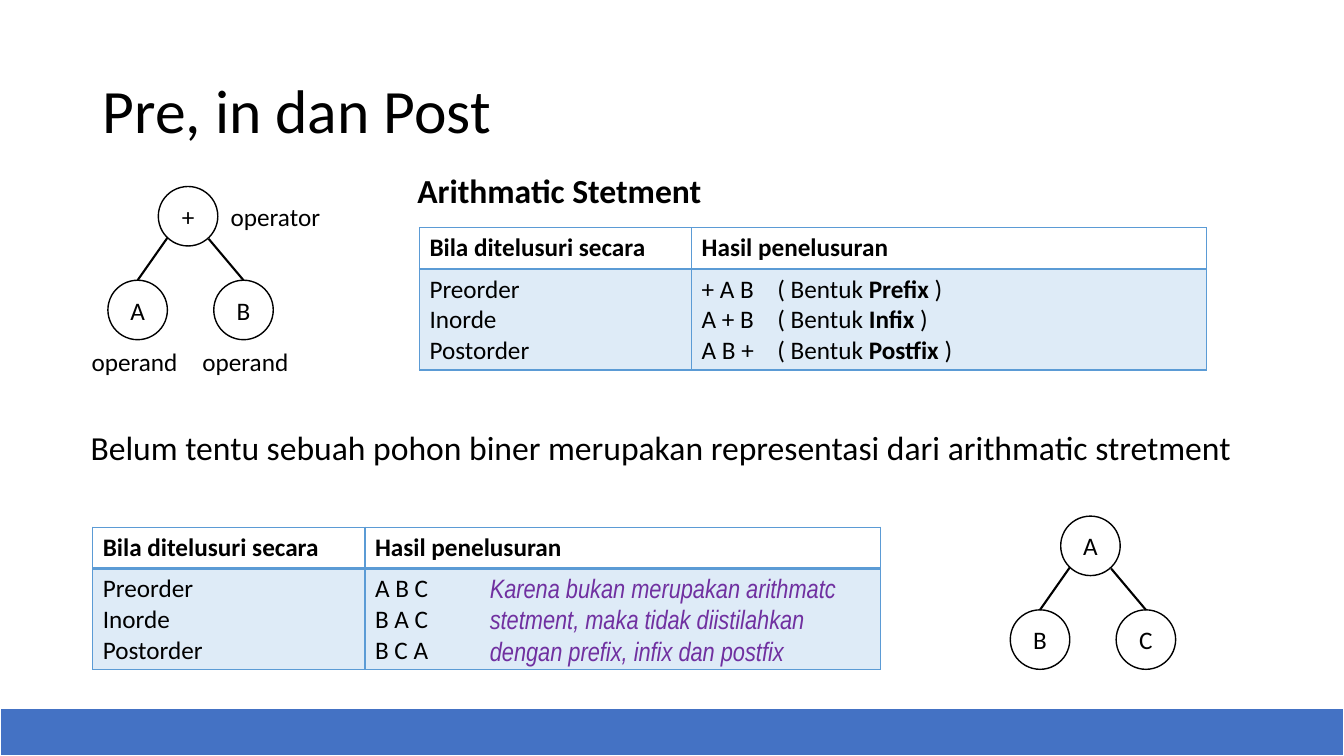
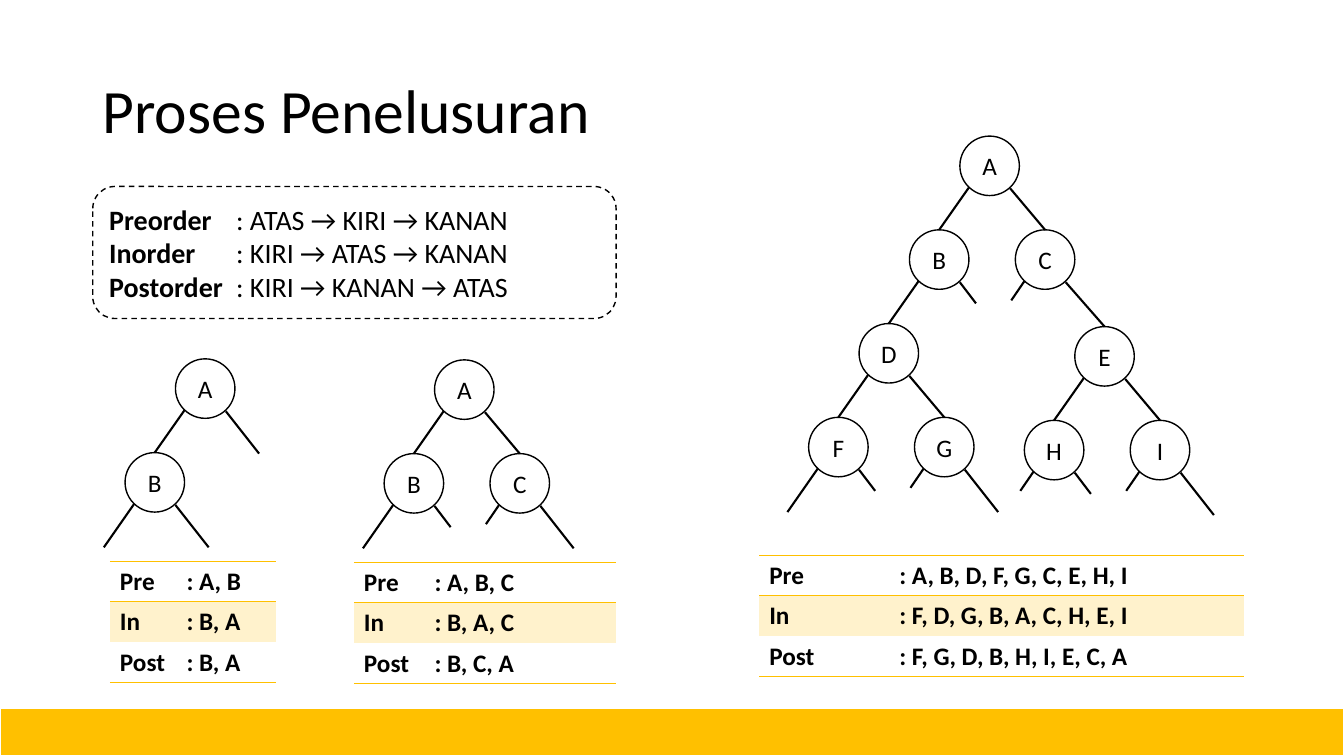
from dataclasses import dataclass
from typing import Any

from lxml import etree
from pptx import Presentation
from pptx.dml.color import RGBColor
from pptx.enum.dml import MSO_LINE
from pptx.enum.shapes import MSO_CONNECTOR, MSO_SHAPE
from pptx.enum.text import MSO_ANCHOR, PP_ALIGN
from pptx.oxml.ns import qn
from pptx.util import Inches, Pt

# Shared look
BLACK = RGBColor(0x00, 0x00, 0x00)
WHITE = RGBColor(0xFF, 0xFF, 0xFF)
PURPLE = RGBColor(0x70, 0x30, 0xA0)
BLUE_BAND = RGBColor(0x44, 0x72, 0xC4)
BLUE = RGBColor(0x5B, 0x9B, 0xD5)
PALE_BLUE = RGBColor(0xDE, 0xEB, 0xF7)
GOLD = RGBColor(0xFF, 0xC0, 0x00)
PALE_GOLD = RGBColor(0xFF, 0xF2, 0xCC)
FONT = "Calibri"
SLIDE_W, SLIDE_H, BAND_H = 13.33, 7.5, 0.48

# Tree geometry, measured from the top left of a node
NODE = 0.59
LONG, SHORT = "long", "short"
BRANCHES = {
    "left": {"start": (0.09, 0.51), "child": (-0.5, 0.93),
             LONG: (-0.21, 0.94), SHORT: (-0.04, 0.7)},
    "right": {"start": (0.5, 0.52), "child": (0.55, 0.93),
              LONG: (0.83, 0.94), SHORT: (0.66, 0.73)},
}


@dataclass
class Node:
    label: str
    left: Any = None    # a Node, LONG, SHORT or None
    right: Any = None
    shift: tuple = (0, 0)


# Content: a paragraph is a string or a list of (text, bold) runs
HEADER = ["Bila ditelusuri secara", "Hasil penelusuran"]
ORDERS = ["Preorder", "Inorde", "Postorder"]
FORMS = [("+ A B", "Prefix"), ("A + B", "Infix"), ("A B +", "Postfix")]
EXPRESSION_ROWS = [
    [HEADER[:1], HEADER[1:]],
    [ORDERS, [[(f"{walk}\t( Bentuk ", False), (form, True), (" )", False)]
              for walk, form in FORMS]],
]
PLAIN_ROWS = [[HEADER[:1], HEADER[1:]], [ORDERS, ["A B C", "B A C", "B C A"]]]
EXPRESSION_TREE = Node("+", Node("A"), Node("B"))
PLAIN_TREE = Node("A", Node("B"), Node("C"))
TREE_LABELS = [("operator", 2.19, 1.95), ("operand", 0.81, 3.39),
               ("operand", 1.91, 3.39)]
STATEMENT = ("Belum tentu sebuah pohon biner merupakan representasi dari "
             "arithmatic stretment")
REMARK = ("Karena bukan merupakan arithmatc stetment, maka tidak diistilahkan "
          "dengan prefix, infix dan postfix")

RULES = [("Preorder", "ATAS → KIRI → KANAN"),
         ("Inorder", "KIRI → ATAS → KANAN"),
         ("Postorder", "KIRI → KANAN → ATAS")]
TRAVERSALS = [
    {"root": (1.74, 3.56),
     "tree": Node("A", Node("B", LONG, LONG), LONG),
     "table": (1.09, 5.57), "cols": [0.66, 0.99],
     "walks": ["A, B", "B, A", "B, A"]},
    {"root": (4.31, 3.57),
     "tree": Node("A", Node("B", LONG, SHORT), Node("C", SHORT, LONG)),
     "table": (3.51, 5.58), "cols": [0.7, 1.9],
     "walks": ["A, B, C", "B, A, C", "B, C, A"]},
    {"root": (9.52, 1.35),
     "tree": Node(
         "A",
         Node("B", Node("D", Node("F", LONG, SHORT), Node("G", SHORT, LONG)),
              SHORT),
         Node("C", SHORT,
              Node("E", Node("H", SHORT, SHORT), Node("I", SHORT, LONG),
                   shift=(0.04, 0.03)))),
     "table": (7.53, 5.51), "cols": [1.29, 3.52],
     "walks": ["A, B, D, F, G, C, E, H, I", "F, D, G, B, A, C, H, E, I",
               "F, G, D, B, H, I, E, C, A"]},
]


def write(tf, paragraphs, size, bold=False, italic=False, color=BLACK,
          font=FONT, align=PP_ALIGN.LEFT, tab=None):
    for i, runs in enumerate(paragraphs):
        p = tf.paragraphs[0] if i == 0 else tf.add_paragraph()
        p.alignment = align
        if tab:
            tabs = etree.SubElement(p._p.get_or_add_pPr(), qn("a:tabLst"))
            etree.SubElement(tabs, qn("a:tab"), pos=str(Inches(tab)), algn="l")
        for text, heavy in [(runs, bold)] if isinstance(runs, str) else runs:
            r = p.add_run()
            r.text = text
            r.font.name, r.font.size = font, Pt(size)
            r.font.bold, r.font.italic = heavy, italic
            r.font.color.rgb = color


def add_text(s, text, box, size, wrap=False, **style):
    sp = s.shapes.add_textbox(*map(Inches, box))
    sp.text_frame.word_wrap = wrap
    write(sp.text_frame, [text], size, **style)
    return sp


def add_box(s, kind, box, fill, line, width):
    sp = s.shapes.add_shape(kind, *map(Inches, box))
    sp.shadow.inherit = False
    if fill is None:
        sp.fill.background()
    else:
        sp.fill.solid()
        sp.fill.fore_color.rgb = fill
    sp.line.color.rgb = line
    sp.line.width = Pt(width)
    return sp


def add_slide(prs, title, band):
    s = prs.slides.add_slide(prs.slide_layouts[6])
    sp = add_text(s, title, (0.92, 0.4, 11.5, 1.45), 44, wrap=True)
    sp.text_frame.vertical_anchor = MSO_ANCHOR.MIDDLE
    sp.text_frame.paragraphs[0].line_spacing = 0.9
    add_box(s, MSO_SHAPE.RECTANGLE, (0, SLIDE_H - BAND_H, SLIDE_W, BAND_H),
            band, WHITE, 1.5)
    return s


def add_line(s, start, end):
    line = s.shapes.add_connector(MSO_CONNECTOR.STRAIGHT,
                                  *map(Inches, (*start, *end)))
    line.line.color.rgb = BLACK
    line.line.width = Pt(1.5)
    etree.SubElement(line._element.spPr, qn("a:effectLst"))
    return line


def add_tree(s, node, x, y):
    """Draw a node with its branches and return the node's circle."""
    circle = add_box(s, MSO_SHAPE.OVAL, (x, y, NODE, NODE), WHITE, BLACK, 1)
    tf = circle.text_frame
    tf.margin_left = tf.margin_right = 0
    tf.vertical_anchor = MSO_ANCHOR.MIDDLE
    write(tf, [node.label], 18, align=PP_ALIGN.CENTER)
    for side, branch in BRANCHES.items():
        target = getattr(node, side)
        if target is None:
            continue
        start = (x + branch["start"][0], y + branch["start"][1])
        if isinstance(target, Node):
            cx = x + branch["child"][0] + target.shift[0]
            cy = y + branch["child"][1] + target.shift[1]
            child = add_tree(s, target, cx, cy)
            add_line(s, start, (cx + NODE / 2, cy)).end_connect(child, 0)
        else:
            add_line(s, start, (x + branch[target][0], y + branch[target][1]))
    return circle


def set_borders(cell, color, widths):
    """Give a cell left, right, top and bottom borders; 0 means none."""
    tc_pr = cell._tc.get_or_add_tcPr()
    for i, (side, width) in enumerate(zip("LRTB", widths)):
        ln = etree.Element(qn(f"a:ln{side}"), w=str(Pt(width)))
        if width:
            fill = etree.SubElement(ln, qn("a:solidFill"))
            etree.SubElement(fill, qn("a:srgbClr"), val=str(color))
        else:
            etree.SubElement(ln, qn("a:noFill"))
        tc_pr.insert(i, ln)


def add_table(s, pos, cols, heights, rows, color, tint, rules, sides,
              bold_rows, tab=None):
    """Row 1 is tinted; rules holds the widths of the horizontal lines."""
    size = (sum(cols), sum(heights))
    table = s.shapes.add_table(len(rows), len(cols),
                               *map(Inches, (*pos, *size))).table
    table.first_row = table.horz_banding = False
    for column, width in zip(table.columns, cols):
        column.width = Inches(width)
    for r, row in enumerate(rows):
        table.rows[r].height = Inches(heights[r])
        for c, paragraphs in enumerate(row):
            cell = table.cell(r, c)
            write(cell.text_frame, paragraphs, 18, bold=r in bold_rows, tab=tab)
            if r == 1:
                cell.fill.solid()
                cell.fill.fore_color.rgb = tint
            else:
                cell.fill.background()
            set_borders(cell, color, (sides, sides, rules[r], rules[r + 1]))


def build_statement_slide(prs):
    s = add_slide(prs, "Pre, in dan Post", BLUE_BAND)
    # Trees
    add_tree(s, EXPRESSION_TREE, 1.57, 1.85)
    add_tree(s, PLAIN_TREE, 10.52, 5.12)
    for text, x, y in TREE_LABELS:
        add_text(s, text, (x, y, 1.1, 0.4), 18)
    # Tables
    for pos, rows in (((4.16, 2.26), EXPRESSION_ROWS),
                      ((0.92, 5.23), PLAIN_ROWS)):
        add_table(s, pos, [2.7, 5.11], [0.41, 1], rows, BLUE, PALE_BLUE,
                  rules=(1, 2, 1), sides=1, bold_rows=(0,), tab=0.75)
    # Heading, statement and remark
    add_text(s, "Arithmatic Stetment", (4.04, 1.64, 3.05, 0.5), 24, bold=True)
    add_text(s, STATEMENT, (0.8, 4.19, 11.97, 0.5), 24)
    add_text(s, REMARK, (4.76, 5.62, 3.96, 1.06), 19, wrap=True, italic=True,
             color=PURPLE, font="Arial Narrow")


def build_process_slide(prs):
    s = add_slide(prs, "Proses Penelusuran", GOLD)
    # Rules of the three orders
    sp = add_box(s, MSO_SHAPE.ROUNDED_RECTANGLE, (0.92, 1.85, 5.19, 1.31),
                 None, BLACK, 1)
    sp.line.dash_style = MSO_LINE.DASH
    sp.text_frame.vertical_anchor = MSO_ANCHOR.MIDDLE
    write(sp.text_frame,
          [[(name, True), (f"\t: {steps}", False)] for name, steps in RULES],
          20, tab=1.26)
    # Trees with their traversals
    for item in TRAVERSALS:
        add_tree(s, item["tree"], *item["root"])
        rows = [[[name], [f": {walk}"]]
                for name, walk in zip(("Pre", "In", "Post"), item["walks"])]
        add_table(s, item["table"], item["cols"], [0.4] * 3, rows, GOLD,
                  PALE_GOLD, rules=(1, 1, 0, 1), sides=0, bold_rows=(0, 1, 2))


def main():
    prs = Presentation()
    prs.slide_width, prs.slide_height = Inches(SLIDE_W), Inches(SLIDE_H)
    build_statement_slide(prs)
    build_process_slide(prs)
    prs.save("out.pptx")


if __name__ == "__main__":
    main()
